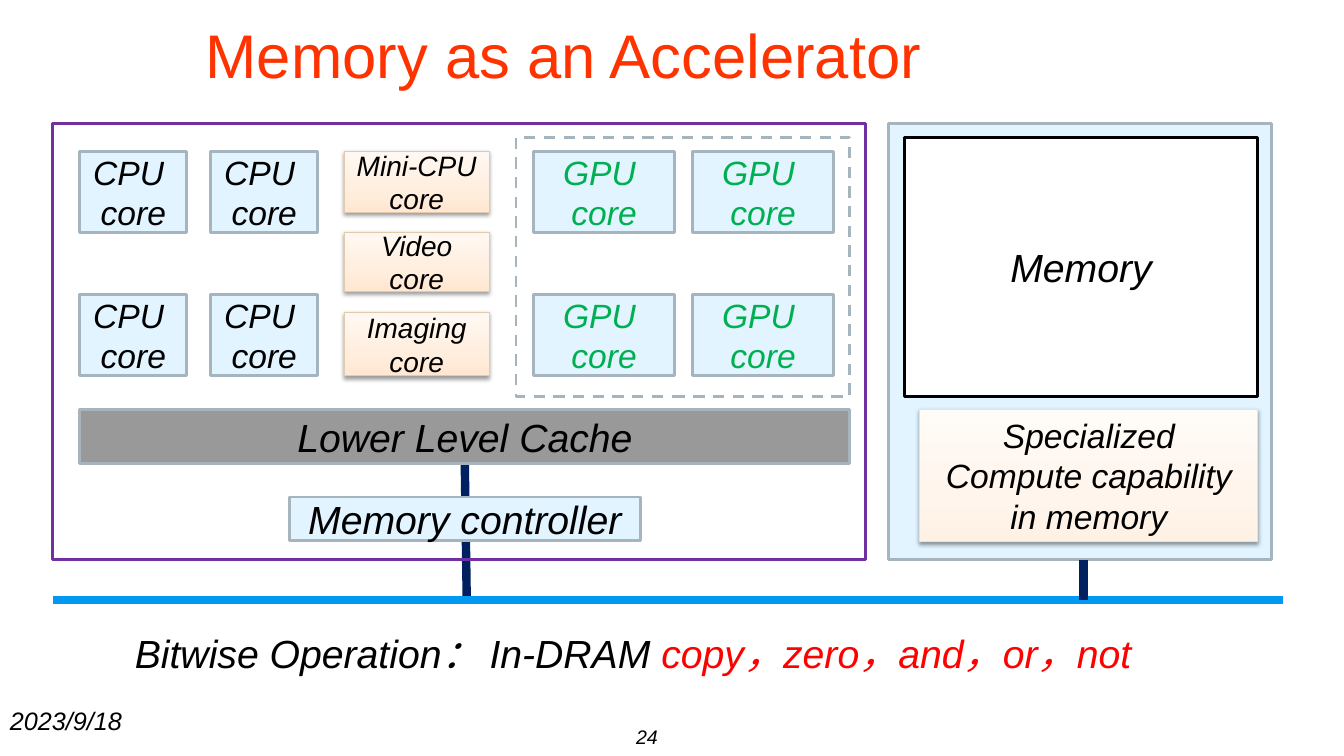
import pptx
import pptx.util
import pptx.dml.color
import pptx.enum.dml
import pptx.enum.shapes
import pptx.enum.text
import pptx.oxml
import pptx.oxml.ns

Pt = pptx.util.Pt
ALIGN = pptx.enum.text.PP_ALIGN
ANCHOR = pptx.enum.text.MSO_ANCHOR
NS = pptx.oxml.ns.nsdecls("a")

HUES = {
    "title": "FF3300", "black": "000000", "white": "FFFFFF", "red": "FF0000",
    "green": "00B050", "pale": "E1F4FF", "edge": "A6B5BD", "gray": "999999",
    "navy": "002060", "bus": "0098F0", "chip": "7030A0",
    "tan": "E3C9AD", "cream": "FBDDBF",
}
PEACH = ("FFE7D1", "FFEEDE", "FFF8F2")
LIGHT = ("FFF1E4", "FFF5EC", "FFFBF7")


def hue(name):
    return pptx.dml.color.RGBColor.from_string(HUES[name])


def style(para, size, color="black", italic=True, align=ALIGN.CENTER):
    para.alignment = align
    para.font.name = "Arial"
    para.font.size = Pt(size)
    para.font.italic = italic
    para.font.color.rgb = hue(color)


def write(frame, lines, size, color="black", align=ALIGN.CENTER):
    frame.word_wrap = True
    for index, line in enumerate(lines):
        para = frame.add_paragraph() if index else frame.paragraphs[0]
        para.text = line
        style(para, size, color, align=align)


def box(slide, area, fill=None, edge="edge", width=2, lines=(), size=24, color="black"):
    kind = pptx.enum.shapes.MSO_SHAPE.RECTANGLE
    shape = slide.shapes.add_shape(kind, *map(Pt, area))
    shape.shadow.inherit = False
    if fill:
        shape.fill.solid()
        shape.fill.fore_color.rgb = hue(fill)
    else:
        shape.fill.background()
    shape.line.color.rgb = hue(edge)
    shape.line.width = Pt(width)
    shape.text_frame.vertical_anchor = ANCHOR.MIDDLE
    write(shape.text_frame, lines, size, color)
    return shape


def glow(slide, area, shades, edge, lines, size):
    shape = box(slide, area, None, edge, 0.75, lines, size)
    props = shape._element.spPr
    stops = "".join(
        f'<a:gs pos="{pos}"><a:srgbClr val="{shade}"/></a:gs>'
        for pos, shade in zip((0, 35000, 100000), shades))
    grad = pptx.oxml.parse_xml(
        f'<a:gradFill {NS} rotWithShape="1"><a:gsLst>{stops}</a:gsLst>'
        '<a:lin ang="16200000" scaled="0"/></a:gradFill>')
    props.replace(props.find(pptx.oxml.ns.qn("a:noFill")), grad)
    shade = pptx.oxml.parse_xml(
        f'<a:outerShdw {NS} blurRad="{Pt(3.1)}" dist="{Pt(1.6)}" dir="5400000" '
        'rotWithShape="0"><a:srgbClr val="000000"><a:alpha val="38000"/>'
        '</a:srgbClr></a:outerShdw>')
    props.find(pptx.oxml.ns.qn("a:effectLst")).append(shade)


def link(slide, ends, color):
    kind = pptx.enum.shapes.MSO_CONNECTOR.STRAIGHT
    line = slide.shapes.add_connector(kind, *map(Pt, ends))
    line.line.color.rgb = hue(color)
    line.line.width = Pt(6)
    line._element.spPr.append(pptx.oxml.parse_xml(f"<a:effectLst {NS}/>"))


def label(slide, area, text, size, align):
    frame = slide.shapes.add_textbox(*map(Pt, area)).text_frame
    write(frame, [text], size, align=align)
    return frame.paragraphs[0]


def head(slide, text):
    title = slide.shapes.title
    title.left, title.top, title.width, title.height = map(Pt, (139.7, 0, 794, 77))
    title.fill.solid()
    title.fill.fore_color.rgb = hue("white")
    title.text_frame.text = text
    title.text_frame.vertical_anchor = ANCHOR.MIDDLE
    style(title.text_frame.paragraphs[0], 44, "title", False, ALIGN.LEFT)


def cores(slide):
    kinds = (("CPU ", "black", 76.5, (57, 150.5)),
             ("GPU ", "green", 101, (381, 494.6)))
    for name, color, width, lefts in kinds:
        for left in lefts:
            for top in (108, 210.2):
                box(slide, (left, top, width, 58.3), "pale",
                    lines=(name, "core"), color=color)
    small = ((108, 44, ["Mini-CPU core"]),
             (166, 42, ["Video", "core"]),
             (223.2, 45.4, ["Imaging core"]))
    for top, height, lines in small:
        glow(slide, (246, top, 103.4, height), PEACH, "tan", lines, 20)


def chip(slide):
    link(slide, (332, 331, 333.4, 428.4), "navy")
    cores(slide)
    group = box(slide, (368.6, 98, 238.4, 185))
    group.line.dash_style = pptx.enum.dml.MSO_LINE.DASH
    box(slide, (57, 292.3, 550, 39), "gray", lines=["Lower Level Cache"], size=28)
    box(slide, (206.5, 355, 251, 31), "pale", lines=["Memory controller"], size=28)
    link(slide, (37.6, 428.4, 916.4, 428.4), "bus")


def memory(slide):
    box(slide, (634.7, 88.4, 273.8, 311.3), "pale")
    box(slide, (646, 98, 252.3, 185), "white", "black", lines=["Memory"], size=28)
    glow(slide, (657, 292.3, 241.5, 94.5), LIGHT, "cream",
         ["Specialized", "Compute capability in memory"], 24)
    link(slide, (774, 400, 774, 428.4), "navy")


def main():
    deck = pptx.Presentation()
    deck.slide_width, deck.slide_height = Pt(960), Pt(540)
    slide = deck.slides.add_slide(deck.slide_layouts[5])
    head(slide, "Memory as an Accelerator")
    label(slide, (277, 514, 200, 36), "24", 14, ALIGN.RIGHT)
    label(slide, (0, 500.4, 216, 29), "2023/9/18", 18, ALIGN.LEFT)
    chip(slide)
    memory(slide)
    box(slide, (37.6, 88.4, 580.4, 311.3), None, "chip", 2.25)
    para = label(slide, (66.2, 445.7, 772, 41),
                 "Bitwise Operation： In-DRAM ", 28, ALIGN.CENTER)
    run = para.add_run()
    run.text = "copy，zero，and，or，not"
    run.font.color.rgb = hue("red")
    deck.save("out.pptx")


if __name__ == "__main__":
    main()
